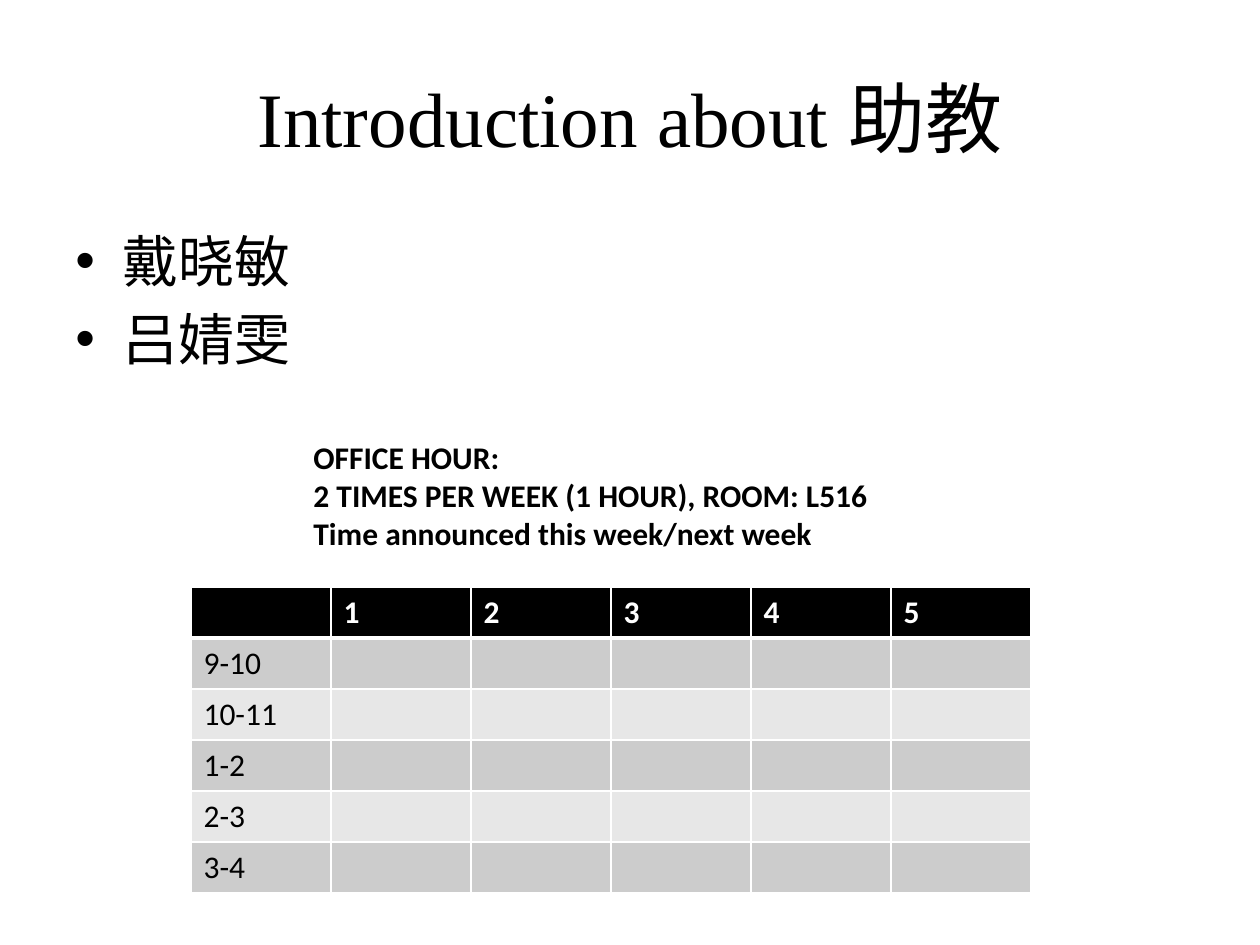
from lxml import etree
from pptx import Presentation
from pptx import util as u
from pptx.dml import color
from pptx.enum import text
from pptx.oxml import ns

PX = 914400 // 126
COLORS = {"ink": "000000", "paper": "FFFFFF", "odd": "CCCCCC", "even": "E7E7E7"}
BODY = {"name": "Calibri", "size": u.Pt(18), "bold": False}
BOLD = {**BODY, "bold": True}
TITLE = {**BODY, "size": u.Pt(44)}
NAMES = {**BODY, "size": u.Pt(32)}


def rgb(key):
    """Return the named colour."""
    return color.RGBColor.from_string(COLORS[key])


def add_run(p, words, fmt, ink="ink"):
    """Append a formatted run to a paragraph."""
    r = p.add_run()
    r.text = words
    for name, value in fmt.items():
        setattr(r.font, name, value)
    r.font.color.rgb = rgb(ink)


def add_text(s, box, paragraphs, anchor=text.MSO_ANCHOR.TOP, **layout):
    """Add a text box whose paragraphs are lists of (words, format) runs."""
    tf = s.shapes.add_textbox(*(v * PX for v in box)).text_frame
    tf.word_wrap = True
    tf.vertical_anchor = anchor
    for i, runs in enumerate(paragraphs):
        p = tf.add_paragraph() if i else tf.paragraphs[0]
        for name, value in layout.items():
            setattr(p, name, value)
        for words, fmt in runs:
            add_run(p, words, fmt)
    return tf


def add_bullets(tf, indent):
    """Give every paragraph a hanging round bullet."""
    for p in tf.paragraphs:
        pPr = p._p.get_or_add_pPr()
        pPr.set("marL", str(indent * PX))
        pPr.set("indent", str(-indent * PX))
        etree.SubElement(pPr, ns.qn("a:buFont")).set("typeface", "Arial")
        etree.SubElement(pPr, ns.qn("a:buChar")).set("char", "•")


def set_borders(cell, widths):
    """Draw white borders of the given point widths, keyed by side."""
    tcPr = cell._tc.get_or_add_tcPr()
    for i, (side, width) in enumerate(widths.items()):
        ln = etree.Element(ns.qn("a:ln" + side), w=str(u.Pt(width)))
        fill = etree.SubElement(ln, ns.qn("a:solidFill"))
        etree.SubElement(fill, ns.qn("a:srgbClr")).set("val", COLORS["paper"])
        tcPr.insert(i, ln)


def add_schedule(s, left, top, col, row, days, hours):
    """Add the banded timetable with a dark header row."""
    rows = [["", *days]] + [[hour] + [""] * len(days) for hour in hours]
    n, m = len(rows), len(rows[0])
    tbl = s.shapes.add_table(n, m, left * PX, top * PX, m * col * PX, n * row * PX).table
    for i, words in enumerate(rows):
        tbl.rows[i].height = row * PX
        fill = ("odd" if i % 2 else "even") if i else "ink"
        for j, word in enumerate(words):
            tbl.columns[j].width = col * PX
            cell = tbl.cell(i, j)
            cell.fill.solid()
            cell.fill.fore_color.rgb = rgb(fill)
            set_borders(cell, {"L": 1, "R": 1, "T": 3 if i == 1 else 1, "B": 1 if i else 3})
            if word:
                add_run(cell.text_frame.paragraphs[0], word,
                        BODY if i else BOLD, "ink" if i else "paper")


def main():
    """Build and save the slide."""
    prs = Presentation()
    prs.slide_width, prs.slide_height = u.Inches(10), u.Inches(7.5)
    s = prs.slides.add_slide(prs.slide_layouts[6])
    add_text(s, (63, 38, 1134, 157),
             [[("Introduction about ", {**TITLE, "name": "Times New Roman"}), ("助教", TITLE)]],
             text.MSO_ANCHOR.MIDDLE, alignment=text.PP_ALIGN.CENTER)
    names = add_text(s, (63, 220, 1134, 224),
                     [[(name, NAMES)] for name in ("戴晓敏", "吕婧雯")], space_before=u.Pt(6.4))
    add_bullets(names, 47)
    add_schedule(s, 191, 587, 140, 51, "12345", ["9-10", "10-11", "1-2", "2-3", "3-4"])
    notice = ["OFFICE HOUR: ", "2 TIMES PER WEEK (1 HOUR), ROOM: L516",
              "Time announced this week/next week"]
    add_text(s, (301, 432, 600, 127), [[(line, BOLD)] for line in notice])
    prs.save("out.pptx")


main()
